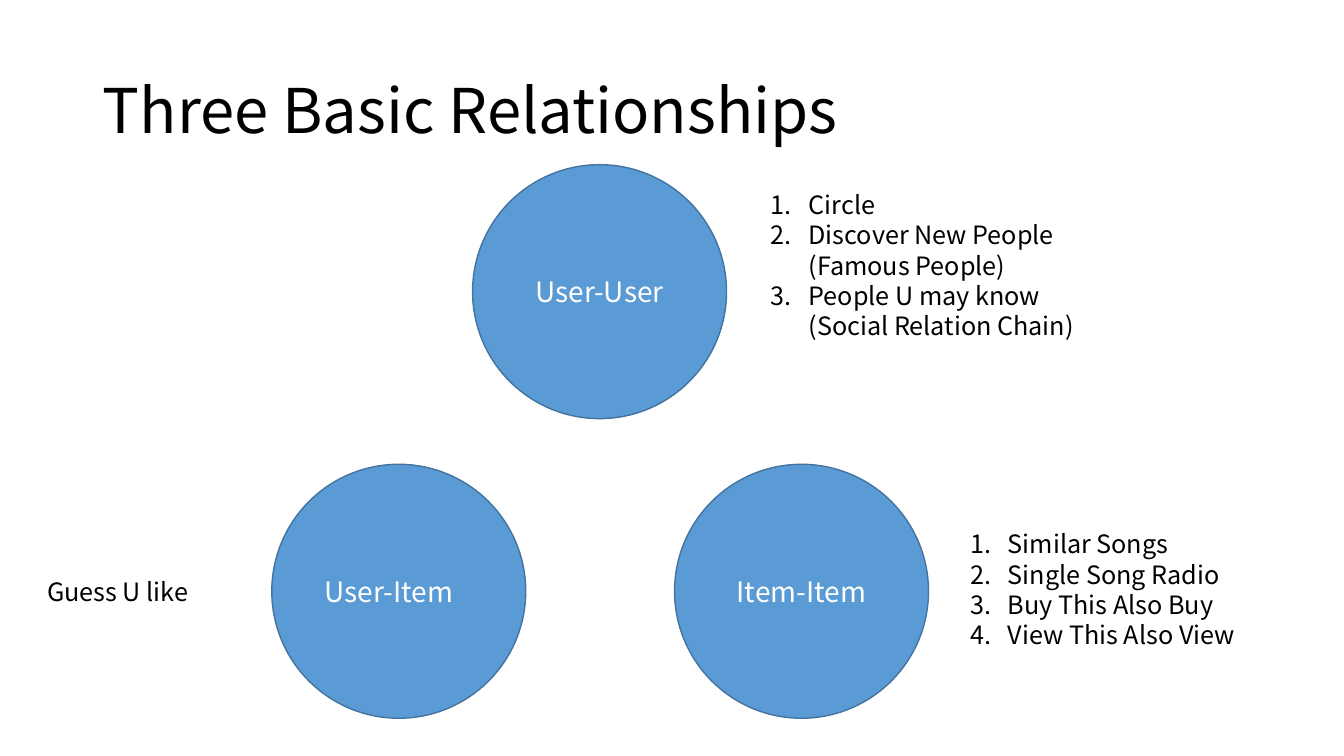
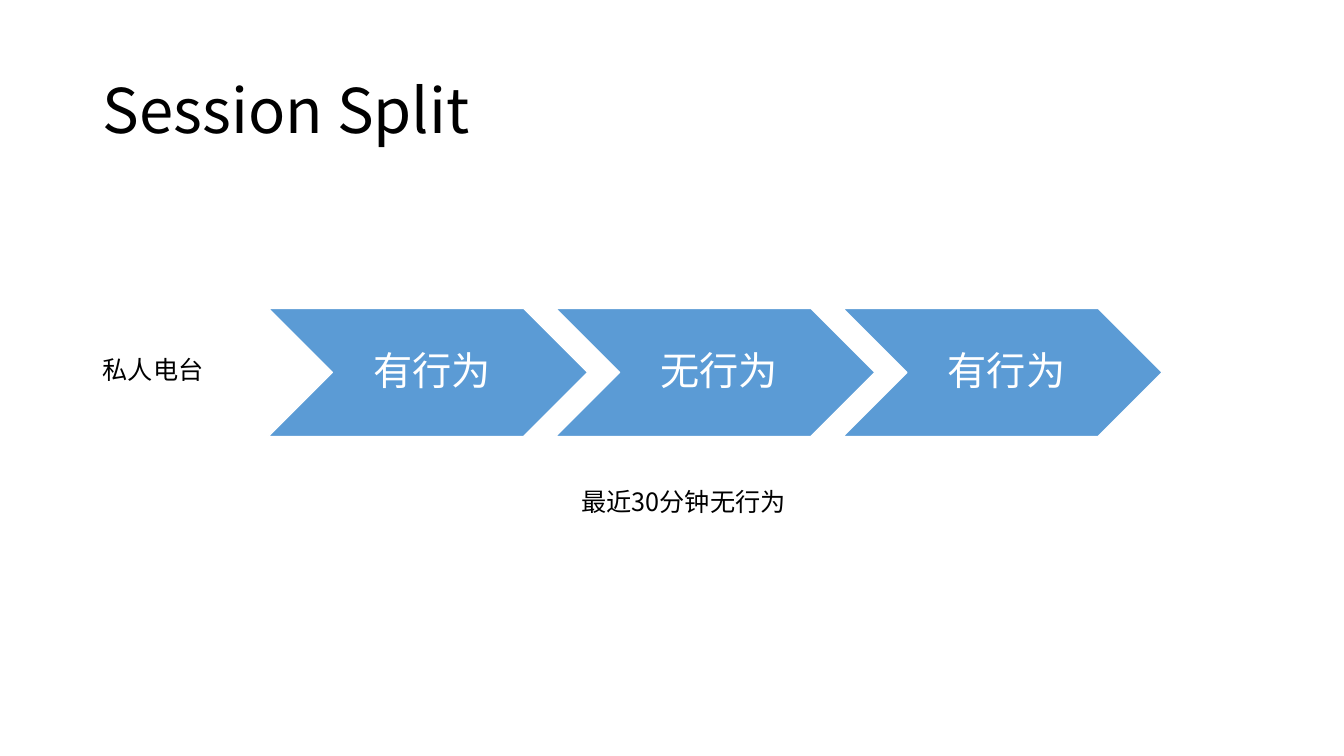
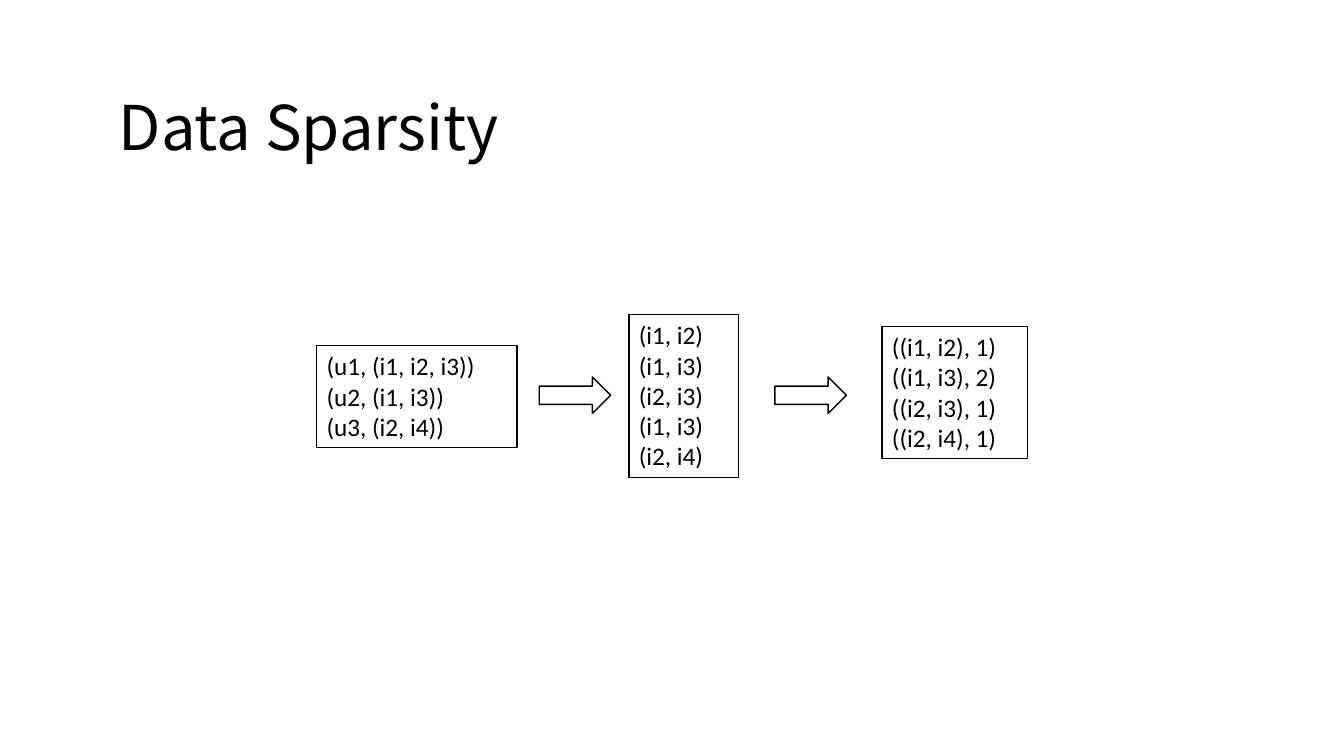
from pptx import Presentation
from pptx.dml.color import RGBColor
from pptx.enum.shapes import MSO_SHAPE
from pptx.enum.text import MSO_ANCHOR, MSO_AUTO_SIZE, PP_ALIGN
from pptx.oxml.ns import qn
from pptx.util import Cm, Pt
from lxml import etree

ELLIPSE, CHEVRON = MSO_SHAPE.OVAL, MSO_SHAPE.CHEVRON
RECTANGLE, RIGHT_ARROW = MSO_SHAPE.RECTANGLE, MSO_SHAPE.RIGHT_ARROW
LEFT, CENTER = PP_ALIGN.LEFT, PP_ALIGN.CENTER
TOP, MIDDLE = MSO_ANCHOR.TOP, MSO_ANCHOR.MIDDLE
FIXED, GROW = MSO_AUTO_SIZE.NONE, MSO_AUTO_SIZE.SHAPE_TO_FIT_TEXT

COLORS = {"text": "000000", "paper": "FFFFFF", "accent": "5B9BD5", "edge": "43739E"}
MAIN_FONT, DATA_FONT = "Noto Sans CJK SC", "Calibri"


def color(name):
    return RGBColor.from_string(COLORS[name])


class Deck:
    def __init__(self):
        self.prs = Presentation()
        self.prs.slide_width, self.prs.slide_height = Cm(33.87), Cm(19.05)
        self.slide = None

    def add_slide(self, title, left=2.34, top=1.02):
        self.slide = self.prs.slides.add_slide(self.prs.slide_layouts[5])
        heading = self.slide.shapes.title
        heading.left, heading.top = Cm(left), Cm(top)
        heading.width, heading.height = Cm(29.21), Cm(3.68)
        self.set_text(heading, [title], 44, anchor=MIDDLE, spacing=0.9)

    def set_text(self, shape, lines, size, ink="text", font=MAIN_FONT, align=LEFT,
                 anchor=TOP, spacing=None, fit=FIXED):
        frame = shape.text_frame
        frame.text = "\n".join(lines)
        frame.word_wrap = True
        frame.auto_size = fit
        frame.vertical_anchor = anchor
        for paragraph in frame.paragraphs:
            paragraph.alignment = align
            paragraph.line_spacing = spacing
            for run in paragraph.runs:
                run.font.size = Pt(size)
                run.font.name = font
                run.font.color.rgb = color(ink)
                east_asian = etree.SubElement(run._r.get_or_add_rPr(), qn("a:ea"))
                east_asian.set("typeface", font)

    def shape(self, kind, left, top, width, height, fill, line):
        shape = self.slide.shapes.add_shape(
            kind, Cm(left), Cm(top), Cm(width), Cm(height))
        shape.shadow.inherit = False
        shape.fill.solid()
        shape.fill.fore_color.rgb = color(fill)
        shape.line.color.rgb = color(line)
        shape.line.width = Pt(1)
        return shape

    def circle(self, label, left, top, right_margin=0.25):
        circle = self.shape(ELLIPSE, left, top, 6.4, 6.4, "accent", "edge")
        self.set_text(circle, [label], 20, "paper", align=CENTER, anchor=MIDDLE)
        circle.text_frame.margin_right = Cm(right_margin)

    def chevron(self, label, left, top):
        chevron = self.shape(CHEVRON, left, top, 8.05, 3.23, "accent", "paper")
        self.set_text(chevron, [label], 28, "paper", align=CENTER, anchor=MIDDLE,
                      spacing=0.9)
        frame = chevron.text_frame
        frame.margin_left = Cm(0.3)
        frame.margin_right = frame.margin_top = frame.margin_bottom = Cm(0.1)

    def data_box(self, rows, left, top, width, height):
        box = self.shape(RECTANGLE, left, top, width, height, "paper", "text")
        self.set_text(box, rows, 18, font=DATA_FONT, fit=GROW)

    def arrow(self, left, top):
        self.shape(RIGHT_ARROW, left, top, 1.8, 0.92, "paper", "text")

    def note(self, lines, left, top, width, height, numbered=False):
        note = self.slide.shapes.add_textbox(
            Cm(left), Cm(top), Cm(width), Cm(height))
        self.set_text(note, lines, 18, fit=GROW)
        if numbered:
            for paragraph in note.text_frame.paragraphs:
                properties = paragraph._p.get_or_add_pPr()
                properties.set("marL", str(Cm(0.95)))
                properties.set("indent", str(-Cm(0.95)))
                number = etree.SubElement(properties, qn("a:buAutoNum"))
                number.set("type", "arabicPeriod")


def relationships(deck):
    deck.add_slide("Three Basic Relationships")
    deck.circle("User-User", 11.91, 4.15)
    deck.circle("User-Item", 6.85, 11.7, right_margin=0.75)
    deck.circle("Item-Item", 17, 11.7)
    deck.note(["Circle", "Discover New People (Famous People)",
               "People U may know (Social Relation Chain)"],
              19.18, 4.65, 8.71, 4.88, numbered=True)
    deck.note(["Guess U like"], 0.94, 14.4, 5.97, 1.02)
    deck.note(["Similar Songs", "Single Song Radio", "Buy This Also Buy",
               "View This Also View"], 24.2, 13.2, 8.2, 3.33, numbered=True)


def session_split(deck):
    deck.add_slide("Session Split")
    deck.note(["私人电台"], 2.34, 8.81, 3.23, 1.02)
    for index, state in enumerate(["有行为", "无行为", "有行为"]):
        deck.chevron(state, 6.76 + index * 7.24, 7.77)
    deck.note(["最近30分钟无行为"], 14.4, 12.14, 5.87, 1.02)


def data_sparsity(deck):
    deck.add_slide("Data Sparsity", 2.74, 1.45)
    deck.data_box(["(u1, (i1, i2, i3))", "(u2, (i1, i3))", "(u3, (i2, i4))"],
                  7.98, 8.71, 5.05, 2.57)
    deck.data_box(["(i1, i2)", "(i1, i3)", "(i2, i3)", "(i1, i3)", "(i2, i4)"],
                  15.85, 7.93, 2.77, 4.11)
    deck.data_box(["((i1, i2), 1)", "((i1, i3), 2)", "((i2, i3), 1)",
                   "((i2, i4), 1)"], 22.23, 8.23, 3.66, 3.33)
    for left in (13.59, 19.53):
        deck.arrow(left, 9.5)


def main():
    deck = Deck()
    relationships(deck)
    session_split(deck)
    data_sparsity(deck)
    deck.prs.save("out.pptx")


if __name__ == "__main__":
    main()
